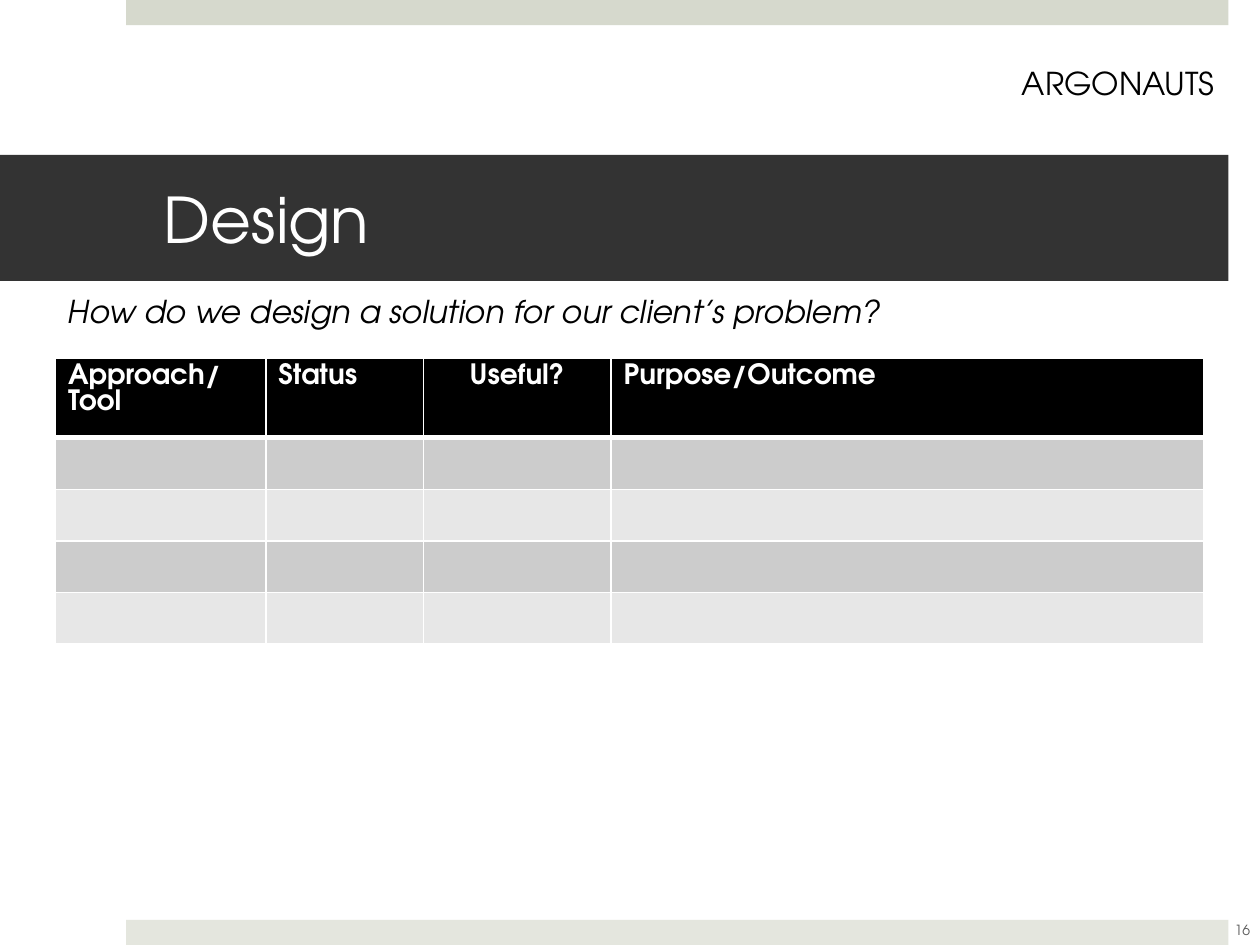
from lxml.etree import SubElement
from pptx import Presentation
from pptx.dml.color import RGBColor
from pptx.enum.shapes import MSO_SHAPE as Shape
from pptx.enum.text import MSO_ANCHOR as Anchor, MSO_AUTO_SIZE as AutoSize, PP_ALIGN as Align
from pptx.oxml.ns import qn
from pptx.util import Inches, Pt

FONT = "TeX Gyre Adventor"
COLUMNS = [("Approach/Tool", 1.67), ("Status", 1.25), ("Useful?", 1.49), ("Purpose/Outcome", 4.7)]
ROW_FILLS = ["000000", "CCCCCC", "E7E7E7", "CCCCCC", "E7E7E7"]
HEADER_HEIGHT, ROW_HEIGHT = 0.63, 0.41


def paint(fill, color):
    """Make a fill solid in a hex colour."""
    fill.solid()
    fill.fore_color.rgb = RGBColor.from_string(color)


def set_all(target, values):
    """Set every attribute in a dict of format values."""
    for attribute, value in values.items():
        setattr(target, attribute, value)


def write(frame, text, size, color, align=Align.LEFT, **style):
    """Write one formatted paragraph into a text frame."""
    paragraph = frame.paragraphs[0]
    paragraph.text = text
    paragraph.alignment = align
    font = paragraph.runs[0].font
    set_all(font, {"name": FONT, "size": Pt(size), **style})
    font.color.rgb = RGBColor.from_string(color)


def add_bar(slide, top, color):
    """Add a thin decorative bar at the given height."""
    bar = slide.shapes.add_shape(Shape.RECTANGLE, Inches(1), Inches(top), Inches(8.75), Inches(0.2))
    bar.shadow.inherit = False
    paint(bar.fill, color)
    bar.line.fill.background()


def add_title(slide, text):
    """Turn the title placeholder into a dark band."""
    title = slide.shapes.title
    set_all(title, {"left": 0, "top": Inches(1.23), "width": Inches(9.75), "height": Inches(1)})
    paint(title.fill, "333333")
    set_all(title.text_frame, {
        "auto_size": AutoSize.NONE, "vertical_anchor": Anchor.MIDDLE,
        "margin_left": Inches(1.3), "margin_right": Inches(0.3),
        "margin_top": Inches(0.05), "margin_bottom": Inches(0.05),
    })
    write(title.text_frame, text, 36, "FFFFFF")


def add_label(slide, text, box, size, color, frame_format, **style):
    """Add a text box with one line of text."""
    label = slide.shapes.add_textbox(*map(Inches, box))
    set_all(label.text_frame, frame_format)
    write(label.text_frame, text, size, color, **style)


def add_borders(cell, bottom):
    """Give a cell white borders, with its own bottom width."""
    properties = cell._tc.get_or_add_tcPr()
    widths = {"a:lnL": 1, "a:lnR": 1, "a:lnT": 1, "a:lnB": bottom}
    for position, (tag, width) in enumerate(widths.items()):
        border = SubElement(properties, qn(tag), w=str(Pt(width)))
        SubElement(SubElement(border, qn("a:solidFill")), qn("a:srgbClr"), val="FFFFFF")
        properties.insert(position, border)


def add_tool_table(slide):
    """Add the table of approaches with its header and empty rows."""
    height = HEADER_HEIGHT + ROW_HEIGHT * (len(ROW_FILLS) - 1)
    table = slide.shapes.add_table(
        len(ROW_FILLS), len(COLUMNS), Inches(0.44), Inches(2.84), Inches(9.1), Inches(height)).table
    for row_index, color in enumerate(ROW_FILLS):
        is_header = row_index == 0
        table.rows[row_index].height = Inches(HEADER_HEIGHT if is_header else ROW_HEIGHT)
        for column_index, (heading, width) in enumerate(COLUMNS):
            table.columns[column_index].width = Inches(width)
            cell = table.cell(row_index, column_index)
            paint(cell.fill, color)
            add_borders(cell, 3 if is_header else 1)
            if is_header:
                align = Align.CENTER if heading == "Useful?" else Align.LEFT
                write(cell.text_frame, heading, 16, "FFFFFF", align, bold=True)


def main():
    """Build the Design slide and save it."""
    deck = Presentation()
    set_all(deck, {"slide_width": Inches(10), "slide_height": Inches(7.5)})
    slide = deck.slides.add_slide(deck.slide_layouts[5])
    growing = {"word_wrap": False, "auto_size": AutoSize.SHAPE_TO_FIT_TEXT}
    add_bar(slide, 0, "D6D9CD")
    add_bar(slide, 7.3, "E4E6DE")
    add_title(slide, "Design")
    add_label(slide, "How do we design a solution for our client’s problem?",
              (0.44, 2.27, 6.79, 0.4), 18, "000000", growing, italic=True)
    add_tool_table(slide)
    add_label(slide, "ARGONAUTS", (8, 0.46, 1.75, 0.4), 18, "000000", growing, align=Align.CENTER)
    add_label(slide, "16", (9.61, 7.18, 0.5, 0.4), 8, "595959",
              {"word_wrap": True, "vertical_anchor": Anchor.MIDDLE}, align=Align.CENTER)
    deck.save("out.pptx")


if __name__ == "__main__":
    main()
